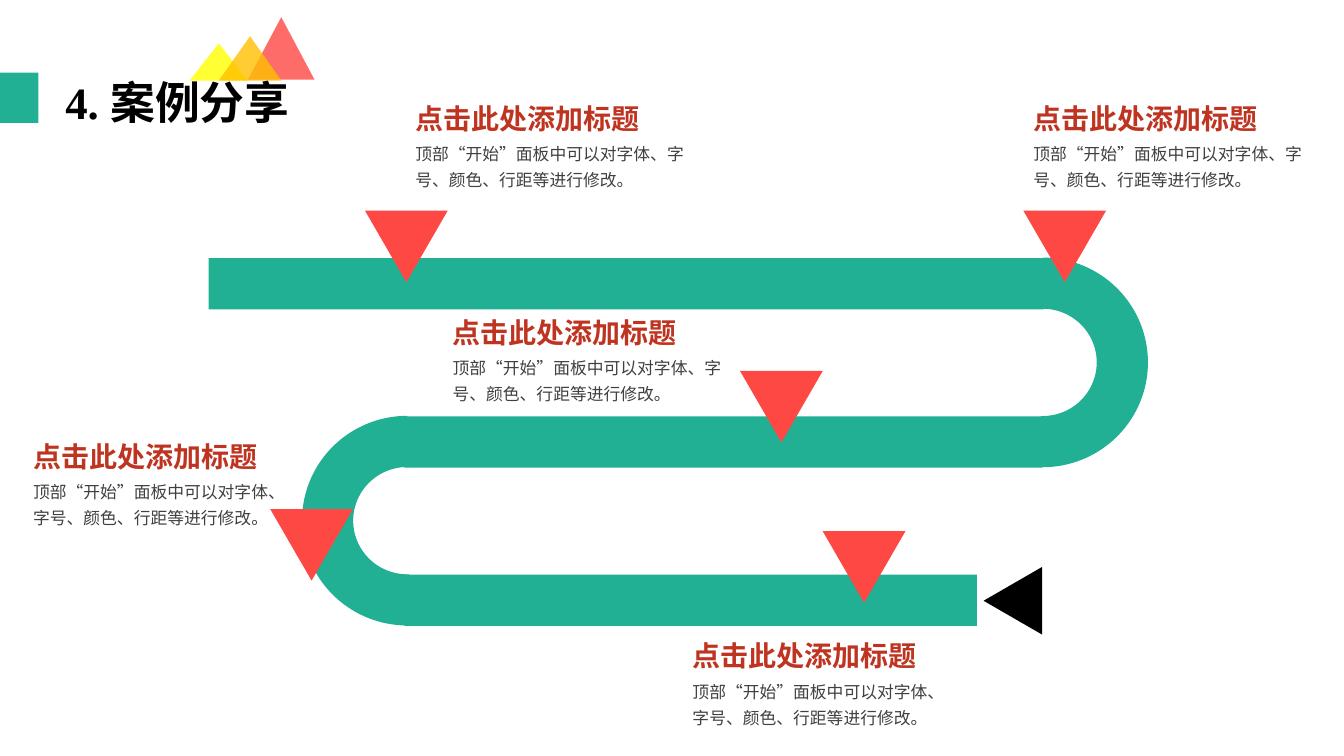
from typing import NamedTuple

from lxml import etree
from pptx import Presentation
from pptx.dml.color import RGBColor
from pptx.enum.shapes import MSO_SHAPE
from pptx.enum.text import MSO_ANCHOR
from pptx.oxml.ns import qn
from pptx.util import Inches, Pt

RECT = MSO_SHAPE.RECTANGLE
TRIANGLE = MSO_SHAPE.ISOSCELES_TRIANGLE
ARC = MSO_SHAPE.BLOCK_ARC
MIDDLE, TOP = MSO_ANCHOR.MIDDLE, MSO_ANCHOR.TOP

SLIDE_W, SLIDE_H = Inches(13.33), Inches(7.5)
CELL = SLIDE_H / 75  # square grid: 75 rows high
COLORS = {
    "road": "22B095", "marker": "FE4844", "yellow": "FFFF00", "orange": "FFC000",
    "black": "000000", "heading": "BF3420", "body": "404040",
}
CJK, SERIF = "Noto Sans CJK SC", "Times New Roman"
HEADING = "点击此处添加标题"
BODY = "顶部“开始”面板中可以对字体、字号、颜色、行距等进行修改。"


class Box(NamedTuple):
    """Place and size in grid columns and rows."""
    col: float
    row: float
    cols: float
    rows: float

    def emu(self) -> list[int]:
        """Return left, top, width and height as lengths."""
        return [round(n * CELL) for n in self]


class Peak(NamedTuple):
    """Translucent triangle above the title."""
    box: Box
    color: str


class Bend(NamedTuple):
    """Half ring joining two lanes."""
    col: float
    lane: int
    rotation: int
    flip: bool


class Lane(NamedTuple):
    """Straight stretch of the road."""
    col: float
    cols: float


class Step(NamedTuple):
    """Marker on the road and the caption beside it."""
    marker_col: float
    marker_row: float
    text_col: float
    text_row: float
    body_cols: float


LANE_TOP, LANE_PITCH, LANE_ROWS = 25.6, 15.7, 5.1
LANES = [Lane(20.7, 82.8), Lane(40.1, 63.3), Lane(40.1, 56.8)]
BENDS = [Bend(93, 0, 90, False), Bend(30, 1, 270, True)]
PEAKS = [
    Peak(Box(24.6, 1.7, 6.6, 6.2), "marker"),
    Peak(Box(18.8, 4.3, 5.8, 3.7), "yellow"),
    Peak(Box(21.7, 3.6, 6.2, 4.4), "orange"),
]
STEPS = [
    Step(36.2, 20.9, 40.2, 9.6, 29.5),
    Step(101.5, 20.9, 101.5, 9.6, 29.5),
    Step(73.4, 36.8, 43.9, 30.8, 29.5),
    Step(26.8, 50.5, 2.3, 43.1, 27.6),
    Step(81.6, 52.7, 67.7, 62.9, 27.6),
]


def add_shape(s, kind, box: Box, color: str, rotation: int = 0, alpha: int = 100):
    """Add a flat filled shape without outline."""
    sp = s.shapes.add_shape(kind, *box.emu())
    sp.shadow.inherit = False
    sp.fill.solid()
    sp.fill.fore_color.rgb = RGBColor.from_string(COLORS[color])
    sp.line.fill.background()
    sp.rotation = rotation
    if alpha < 100:
        clr = sp._element.spPr.find(qn("a:solidFill"))[0]
        etree.SubElement(clr, qn("a:alpha")).set("val", str(alpha * 1000))
    return sp


def add_text(s, text: str, box: Box, *, size: int, color: str, font: str = CJK,
             bold: bool = False, spacing: float = 1.0, anchor=TOP) -> None:
    """Add a wrapped text box holding one formatted run."""
    tf = s.shapes.add_textbox(*box.emu()).text_frame
    tf.word_wrap = True
    tf.vertical_anchor = anchor
    p = tf.paragraphs[0]
    p.line_spacing = spacing
    r = p.add_run()
    r.text = text
    r.font.size, r.font.bold, r.font.name = Pt(size), bold, font
    r.font.color.rgb = RGBColor.from_string(COLORS[color])
    etree.SubElement(r._r.get_or_add_rPr(), qn("a:ea")).set("typeface", CJK)


def lane_row(index: int) -> float:
    """Return the top row of a lane."""
    return LANE_TOP + index * LANE_PITCH


def add_bend(s, bend: Bend) -> None:
    """Add the half ring that starts at the given lane."""
    box = Box(bend.col, lane_row(bend.lane) - 0.1, 20.8, 20.9)
    sp = add_shape(s, ARC, box, "road", bend.rotation)
    for i, value in enumerate((108, 1.142, 0.244)):
        sp.adjustments[i] = value
    if bend.flip:
        sp._element.spPr.find(qn("a:xfrm")).set("flipH", "1")


def add_caption(s, step: Step) -> None:
    """Add the body text and heading of a step."""
    add_text(s, BODY, Box(step.text_col, step.text_row + 3.6, step.body_cols, 6.3),
             size=12, color="body", spacing=1.3)
    add_text(s, HEADING, Box(step.text_col, step.text_row, 29.5, 4.4),
             size=20, color="heading", bold=True)


def main() -> None:
    """Build the slide and save it."""
    prs = Presentation()
    prs.slide_width, prs.slide_height = SLIDE_W, SLIDE_H
    s = prs.slides.add_slide(prs.slide_layouts[6])
    for peak in PEAKS:
        add_shape(s, TRIANGLE, peak.box, peak.color, alpha=80)
    add_shape(s, RECT, Box(0, 7.2, 3.8, 5), "road")
    add_text(s, "4. 案例分享", Box(5.5, 6.9, 30.4, 7), size=32, color="black",
             font=SERIF, bold=True, spacing=0.9, anchor=MIDDLE)
    for i, lane in enumerate(LANES):
        add_shape(s, RECT, Box(lane.col, lane_row(i), lane.cols, LANE_ROWS), "road")
    for bend in BENDS:
        add_bend(s, bend)
    add_shape(s, TRIANGLE, Box(97.1, 56.7, 6.7, 5.8), "black", 270)
    for step in STEPS:
        add_shape(s, TRIANGLE, Box(step.marker_col, step.marker_row, 8.2, 7.1),
                  "marker", 180)
    for step in STEPS:
        add_caption(s, step)
    prs.save("out.pptx")


main()
